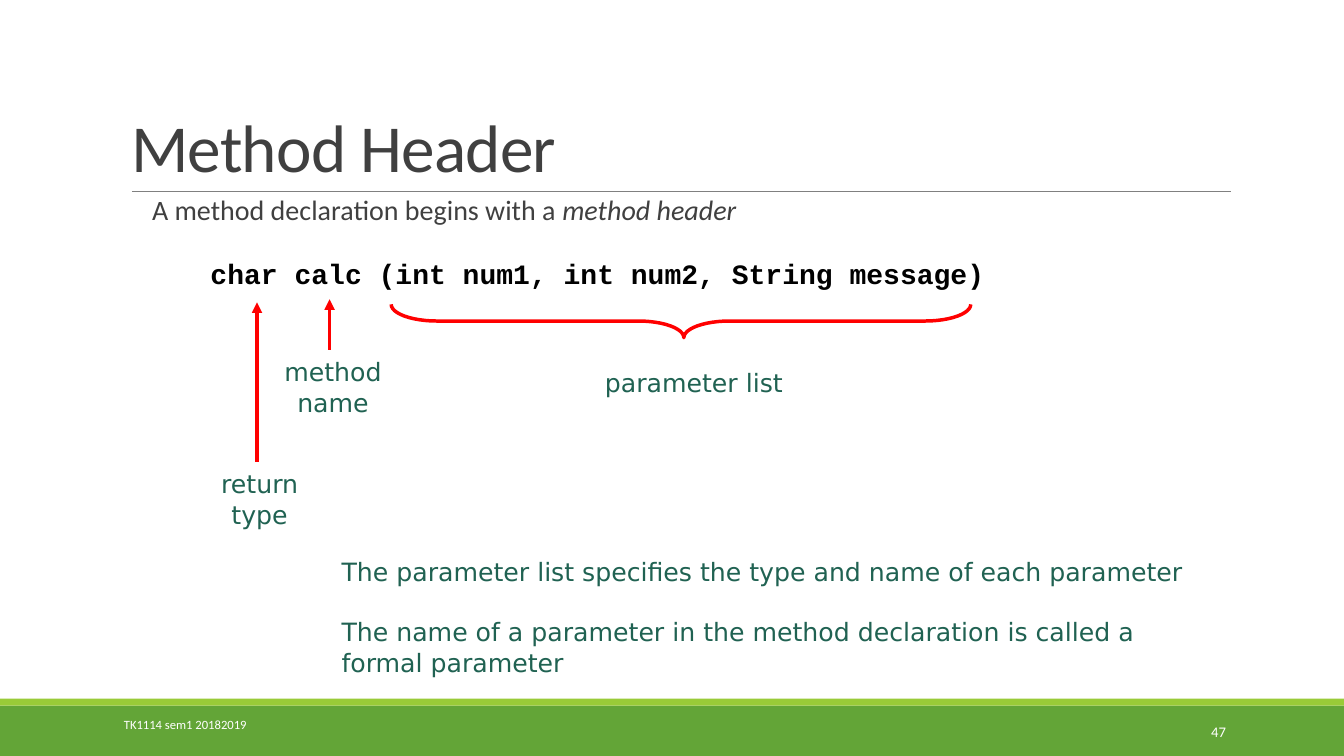
from lxml.etree import SubElement
from pptx import Presentation
from pptx.dml.color import RGBColor
from pptx.enum.shapes import MSO_CONNECTOR, MSO_SHAPE
from pptx.enum.text import MSO_ANCHOR, PP_ALIGN
from pptx.oxml.ns import qn
from pptx.util import Pt

COLORS = {
    "band": "63A537", "stripe": "99CB38", "rule": "808080", "heading": "404040",
    "code": "000000", "label": "206252", "pointer": "FF0000", "footer": "FFFFFF",
}
# name: (font, size, colour, bold)
STYLES = {
    "title": ("Calibri", 48, "heading", False),
    "intro": ("Calibri", 20, "heading", False),
    "code": ("Courier New", 20, "code", True),
    "label": ("DejaVu Sans", 18, "label", False),
    "footer": ("Calibri", 9, "footer", False),
    "number": ("Calibri", 10.5, "footer", False),
}
WIDTH, HEIGHT = 960, 540
LEFT, CENTER, RIGHT = PP_ALIGN.LEFT, PP_ALIGN.CENTER, PP_ALIGN.RIGHT
TOP, MIDDLE = MSO_ANCHOR.TOP, MSO_ANCHOR.MIDDLE

TITLE = "Method Header"
TITLE_BOX = (86.4, 22.3, 792, 114.5)
INTRO = [("A method declaration begins with a ", False), ("method header", True)]
INTRO_BOX = (101.5, 136.8, 832, 50.4)
# paragraphs, box, style, alignment, anchor, wrap, gap between paragraphs
TEXTS = [
    (["char calc (int num1, int num2, String message)"],
     (143.3, 180, 571.7, 31.7), "code", LEFT, TOP, False, 0),
    (["method", "name"], (195.8, 251.3, 84.2, 51.1), "label", CENTER, TOP, False, 0),
    (["return", "type"], (149.8, 331.2, 71.3, 51.1), "label", CENTER, TOP, False, 0),
    (["parameter list"], (327.6, 258.5, 336.2, 28.8), "label", CENTER, TOP, True, 0),
    (["The parameter list specifies the type and name of each parameter",
      "The name of a parameter in the method declaration is called a formal parameter"],
     (236.9, 393.8, 628.6, 94.3), "label", LEFT, TOP, True, 21.5),
    (["TK1114 sem1 20182019"], (81.4, 502.6, 367.9, 30.2), "footer", LEFT, MIDDLE, True, 0),
    (["47"], (779.8, 508.3, 103, 28.8), "number", RIGHT, MIDDLE, True, 0),
]
# from x, from y, to x, to y
ARROWS = [(235.4, 249.8, 235.4, 213.8), (183.6, 329.8, 183.6, 216)]
TITLE_RULE = (94.3, 136.8, 879.1, 136.8)
BANDS = [((0, 504, WIDTH, 36), "band"), ((0, 499, WIDTH, 5), "stripe")]
BRACE_BOX = (474.5, 22.3, 23.8, 414)


def rgb(color):
    return RGBColor.from_string(COLORS[color])


def points(values):
    return [Pt(value) for value in values]


def add_run(paragraph, text, style, italic=False):
    font_name, size, color, bold = STYLES[style]
    run = paragraph.add_run()
    run.text = text
    run.font.name, run.font.size = font_name, Pt(size)
    run.font.bold, run.font.italic = bold, italic
    run.font.color.rgb = rgb(color)
    return run


def add_texts(slide):
    for lines, box, style, alignment, anchor, wrap, gap in TEXTS:
        frame = slide.shapes.add_textbox(*points(box)).text_frame
        frame.word_wrap, frame.vertical_anchor = wrap, anchor
        for index, line in enumerate(lines):
            paragraph = frame.add_paragraph() if index else frame.paragraphs[0]
            paragraph.alignment = alignment
            paragraph.space_before = Pt(gap if index else 0)
            add_run(paragraph, line, style)


def add_line(slide, ends, color, width, arrow=False):
    line = slide.shapes.add_connector(MSO_CONNECTOR.STRAIGHT, *points(ends))
    line.line.color.rgb, line.line.width = rgb(color), Pt(width)
    if arrow:
        SubElement(line.line._get_or_add_ln(), qn("a:tailEnd"), type="triangle")
    SubElement(line._element.spPr, qn("a:effectLst"))


def add_title(slide):
    title = slide.shapes.title
    title.left, title.top, title.width, title.height = points(TITLE_BOX)
    title.text_frame.vertical_anchor = MSO_ANCHOR.BOTTOM
    title.text_frame.word_wrap = True
    paragraph = title.text_frame.paragraphs[0]
    paragraph.alignment, paragraph.line_spacing = LEFT, 0.85
    run = add_run(paragraph, TITLE, "title")
    run.font._element.set("spc", "-50")


def add_intro(slide):
    frame = slide.shapes.add_textbox(*points(INTRO_BOX)).text_frame
    frame.word_wrap = True
    frame.margin_left, frame.margin_right = Pt(7.2), 0
    paragraph = frame.paragraphs[0]
    paragraph.line_spacing = 0.9
    for text, italic in INTRO:
        add_run(paragraph, text, "intro", italic)


def add_brace(slide):
    brace = slide.shapes.add_shape(MSO_SHAPE.LEFT_BRACE, *points(BRACE_BOX))
    brace.rotation = 270
    brace.adjustments[0], brace.adjustments[1] = 1.375, 0.505
    brace.shadow.inherit = False
    brace.fill.background()
    brace.line.color.rgb, brace.line.width = rgb("pointer"), Pt(2.5)


def main():
    deck = Presentation()
    deck.slide_width, deck.slide_height = Pt(WIDTH), Pt(HEIGHT)
    slide = deck.slides.add_slide(deck.slide_layouts[5])
    for box, color in BANDS:
        band = slide.shapes.add_shape(MSO_SHAPE.RECTANGLE, *points(box))
        band.shadow.inherit = False
        band.fill.solid()
        band.fill.fore_color.rgb = rgb(color)
        band.line.fill.background()
    add_line(slide, TITLE_RULE, "rule", 0.5)
    add_title(slide)
    add_intro(slide)
    add_texts(slide)
    for ends in ARROWS:
        add_line(slide, ends, "pointer", 2.5, arrow=True)
    add_brace(slide)
    deck.save("out.pptx")


if __name__ == "__main__":
    main()
